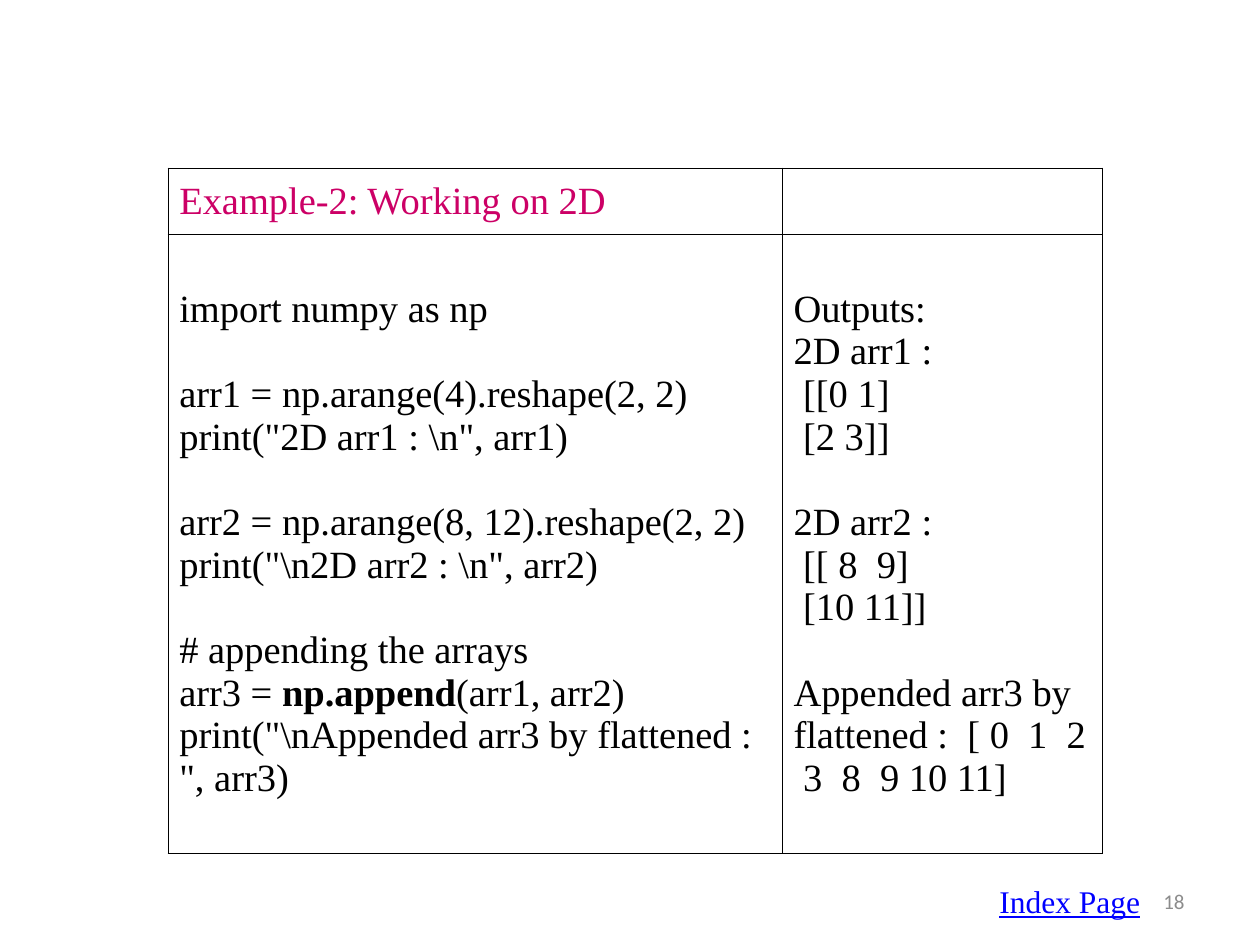
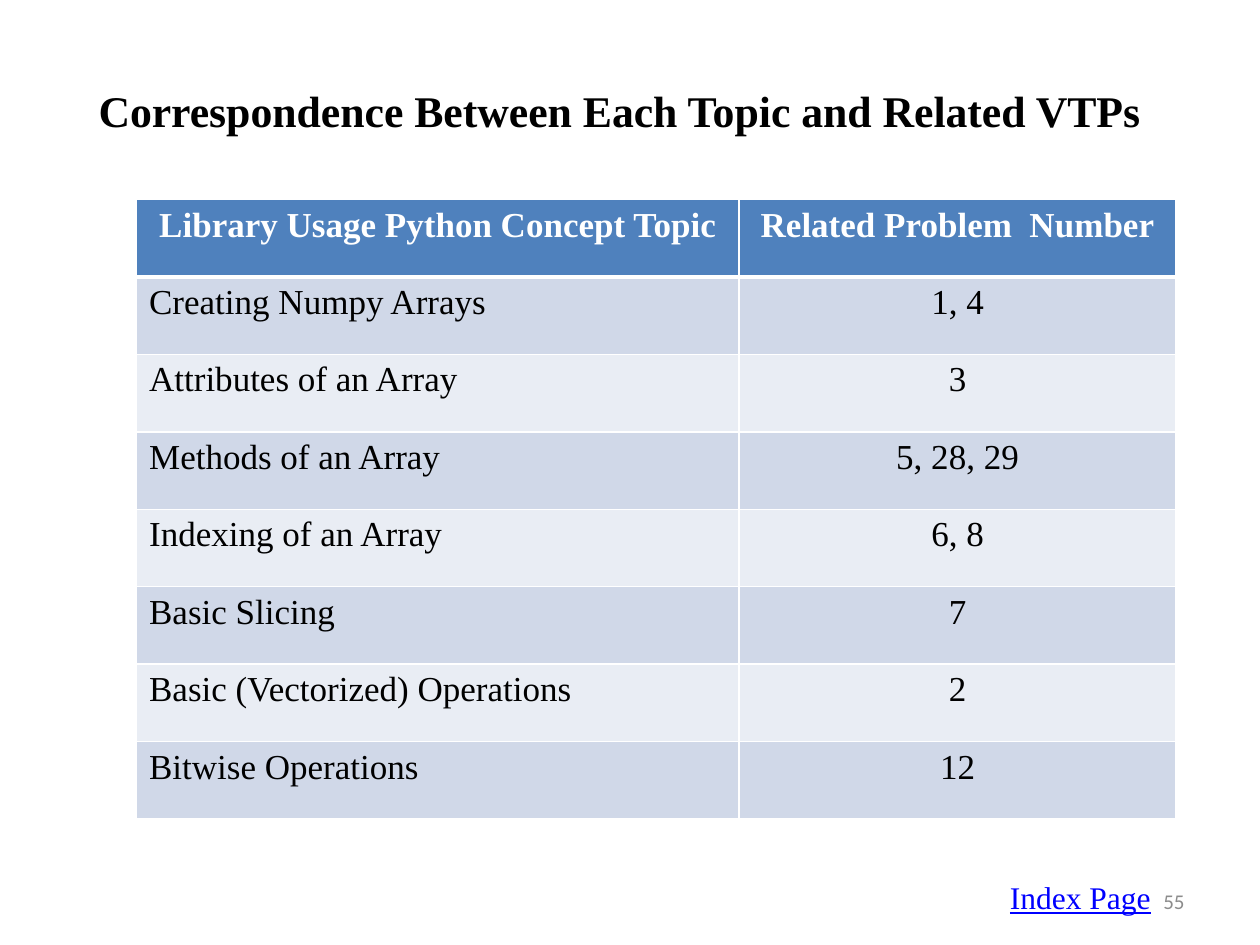
from dataclasses import dataclass

import pptx
import pptx.dml.color
import pptx.enum.text
import pptx.oxml
import pptx.oxml.ns
import pptx.util

COLORS = {
    "black": "000000",
    "white": "FFFFFF",
    "example": "CC0066",
    "link": "0000FF",
    "number": "8C8C8C",
    "header": "4F81BD",
    "band_dark": "D0D8E8",
    "band_light": "E9EDF4",
}
SERIF, SANS = "Times New Roman", "Calibri"
WIDTH, HEIGHT = pptx.util.Inches(10), pptx.util.Inches(7.5)
GRID_COLUMNS, GRID_ROWS = 120, 90
CODE_LINE = 24.4  # points taken by one line of code

ALIGN = pptx.enum.text.PP_ALIGN
ANCHOR = pptx.enum.text.MSO_ANCHOR
AUTO_SIZE = pptx.enum.text.MSO_AUTO_SIZE


@dataclass(frozen=True)
class Area:
    """A rectangle in grid columns and rows."""
    column: float
    row: float
    columns: float
    rows: float

    def lengths(self) -> tuple:
        return (across(self.column), down(self.row),
                across(self.columns), down(self.rows))


@dataclass(frozen=True)
class Style:
    size: float
    color: str = "black"
    font: str = SERIF
    bold: bool = False
    underline: bool = False


@dataclass(frozen=True)
class Span:
    text: str
    bold: bool = False


@dataclass(frozen=True)
class Line:
    spans: tuple
    gap: float = 0


@dataclass(frozen=True)
class Border:
    color: str
    width: float


def across(columns: float) -> int:
    return round(WIDTH * columns / GRID_COLUMNS)


def down(rows: float) -> int:
    return round(HEIGHT * rows / GRID_ROWS)


def line(*texts, gap: float = 0) -> Line:
    spans = tuple(Span(text) if isinstance(text, str) else text for text in texts)
    return Line(spans, gap)


def write(frame, lines: list, style: Style, align=ALIGN.LEFT) -> None:
    for index, content in enumerate(lines):
        paragraph = frame.add_paragraph() if index else frame.paragraphs[0]
        paragraph.alignment = align
        paragraph.space_before = pptx.util.Pt(content.gap)
        for span in content.spans:
            run = paragraph.add_run()
            run.text = span.text
            run.font.name = style.font
            run.font.size = pptx.util.Pt(style.size)
            run.font.bold = style.bold or span.bold
            run.font.underline = style.underline
            run.font.color.rgb = pptx.dml.color.RGBColor.from_string(COLORS[style.color])


def set_borders(cell, borders: dict) -> None:
    """Draw the sides L, R, T and B of a cell."""
    properties = cell._tc.get_or_add_tcPr()
    for side in "LRTB":
        border = borders[side]
        properties.append(pptx.oxml.parse_xml(
            f'<a:ln{side} {pptx.oxml.ns.nsdecls("a")} w="{pptx.util.Pt(border.width)}">'
            f'<a:solidFill><a:srgbClr val="{COLORS[border.color]}"/></a:solidFill>'
            f'</a:ln{side}>'))


def set_fill(cell, color: str) -> None:
    cell.fill.solid()
    cell.fill.fore_color.rgb = pptx.dml.color.RGBColor.from_string(COLORS[color])


def add_grid_table(slide, area: Area, columns: list, rows: list):
    table = slide.shapes.add_table(len(rows), len(columns), *area.lengths()).table
    table.first_row = table.horz_banding = False
    for column, width in zip(table.columns, columns):
        column.width = across(width)
    for row, height in zip(table.rows, rows):
        row.height = down(height)
    return table


def add_footer(slide, number: str, index_area: Area) -> None:
    # Slide number
    box = slide.shapes.add_textbox(*Area(86, 83.4, 28, 4.8).lengths())
    box.text_frame.word_wrap = True
    box.text_frame.vertical_anchor = ANCHOR.MIDDLE
    write(box.text_frame, [line(number)], Style(12, "number", SANS), ALIGN.RIGHT)
    # Index label
    box = slide.shapes.add_textbox(*index_area.lengths())
    box.text_frame.word_wrap = False
    box.text_frame.auto_size = AUTO_SIZE.SHAPE_TO_FIT_TEXT
    write(box.text_frame, [line("Index Page")],
          Style(18, "link", underline=True), ALIGN.JUSTIFY)


def build_example(presentation) -> None:
    slide = presentation.slides.add_slide(presentation.slide_layouts[6])
    code = [
        line("import numpy as np"),
        line("arr1 = np.arange(4).reshape(2, 2)", gap=CODE_LINE),
        line(r'print("2D arr1 : \n", arr1)'),
        line("arr2 = np.arange(8, 12).reshape(2, 2)", gap=CODE_LINE),
        line(r'print("\n2D arr2 : \n", arr2)'),
        line("# appending the arrays", gap=CODE_LINE),
        line("arr3 = ", Span("np.append", bold=True), "(arr1, arr2)"),
        line(r'print("\nAppended arr3 by flattened : ", arr3)'),
    ]
    outputs = [
        line("Outputs:"),
        line("2D arr1 :"),
        line(" [[0 1]"),
        line(" [2 3]]"),
        line("2D arr2 :", gap=CODE_LINE),
        line(" [[ 8  9]"),
        line(" [10 11]]"),
        line("Appended arr3 by flattened :  [ 0  1  2  3  8  9 10 11]", gap=CODE_LINE),
    ]
    contents = [[[line("Example-2: Working on 2D")], []], [code, outputs]]
    table = add_grid_table(slide, Area(16, 16, 89, 65.3), [58.5, 30.5], [6.3, 59])
    borders = dict.fromkeys("LRTB", Border("black", 0.5))
    for row, row_contents in enumerate(contents):
        style = Style(22, "black" if row else "example")
        for column, lines in enumerate(row_contents):
            cell = table.cell(row, column)
            cell.margin_left = cell.margin_right = pptx.util.Inches(0.09)
            cell.margin_top = cell.margin_bottom = pptx.util.Inches(0.04)
            cell.vertical_anchor = ANCHOR.MIDDLE
            set_borders(cell, borders)
            cell.fill.background()
            write(cell.text_frame, lines, style)
    add_footer(slide, "18", Area(94, 83.4, 16, 4.8))


def build_topics(presentation) -> None:
    slide = presentation.slides.add_slide(presentation.slide_layouts[5])
    # Title
    title = slide.shapes.title
    title.left, title.top, title.width, title.height = Area(5, 3, 108, 15).lengths()
    title.text_frame.auto_size = AUTO_SIZE.NONE
    title.text_frame.vertical_anchor = ANCHOR.MIDDLE
    write(title.text_frame, [line("Correspondence Between Each Topic and Related VTPs")],
          Style(25, bold=True), ALIGN.CENTER)
    # Topics and their problem numbers
    topics = [
        ("Library Usage Python Concept Topic", "Related Problem  Number"),
        ("Creating Numpy Arrays", "1, 4"),
        ("Attributes of an Array", "3"),
        ("Methods of an Array", "5, 28, 29"),
        ("Indexing of an Array", "6, 8"),
        ("Basic Slicing", "7"),
        ("Basic (Vectorized) Operations", "2"),
        ("Bitwise Operations", "12"),
    ]
    area = Area(13, 19, 99, 59)
    table = add_grid_table(slide, area, [57.4, 41.6],
                           [area.rows / len(topics)] * len(topics))
    thin, thick = Border("white", 1), Border("white", 3)
    for row, texts in enumerate(topics):
        is_header = row == 0
        style = Style(20, "white", bold=True) if is_header else Style(20)
        fill = "header" if is_header else ("band_light", "band_dark")[row % 2]
        borders = {"L": thin, "R": thin,
                   "T": thick if row == 1 else thin,
                   "B": thick if is_header else thin}
        for column, text in enumerate(texts):
            cell = table.cell(row, column)
            set_borders(cell, borders)
            set_fill(cell, fill)
            write(cell.text_frame, [line(text)], style,
                  ALIGN.CENTER if is_header or column else ALIGN.LEFT)
    add_footer(slide, "55", Area(95, 83, 16, 4.8))


def main() -> None:
    presentation = pptx.Presentation()
    presentation.slide_width, presentation.slide_height = WIDTH, HEIGHT
    build_example(presentation)
    build_topics(presentation)
    presentation.save("out.pptx")


if __name__ == "__main__":
    main()
